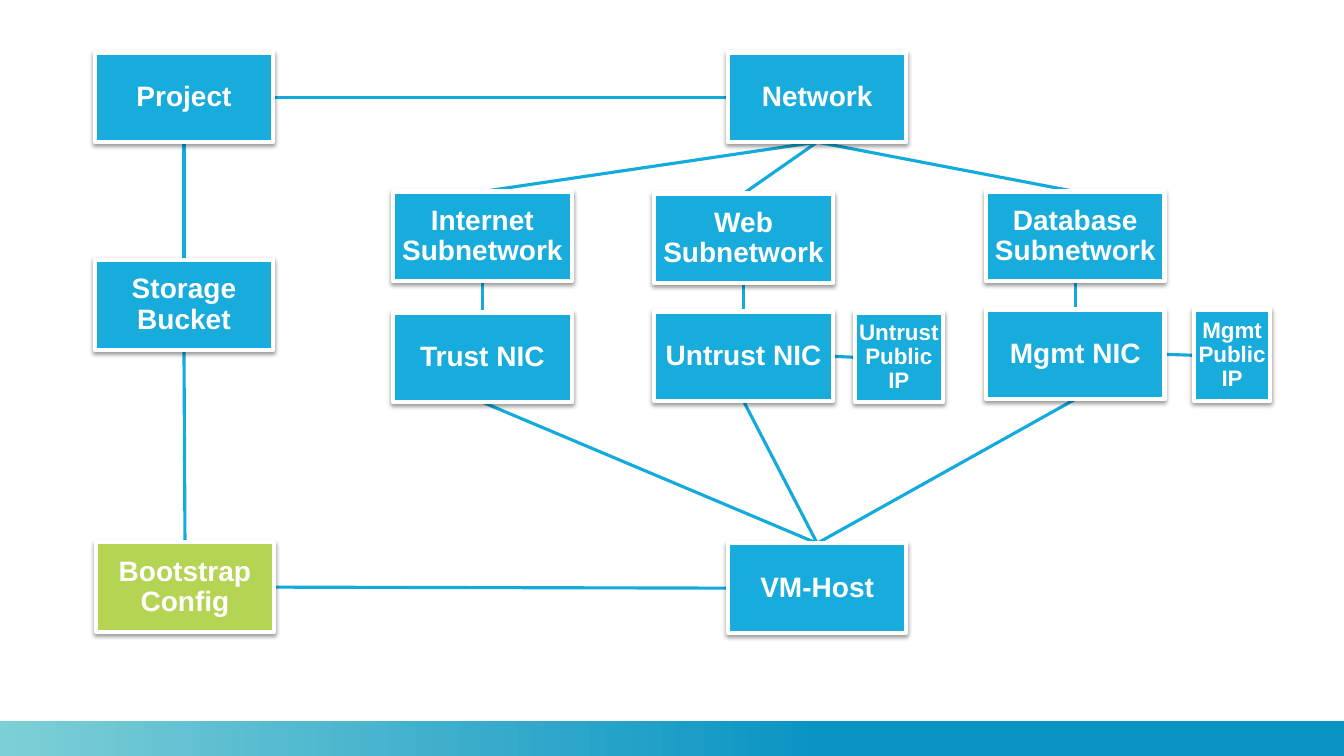
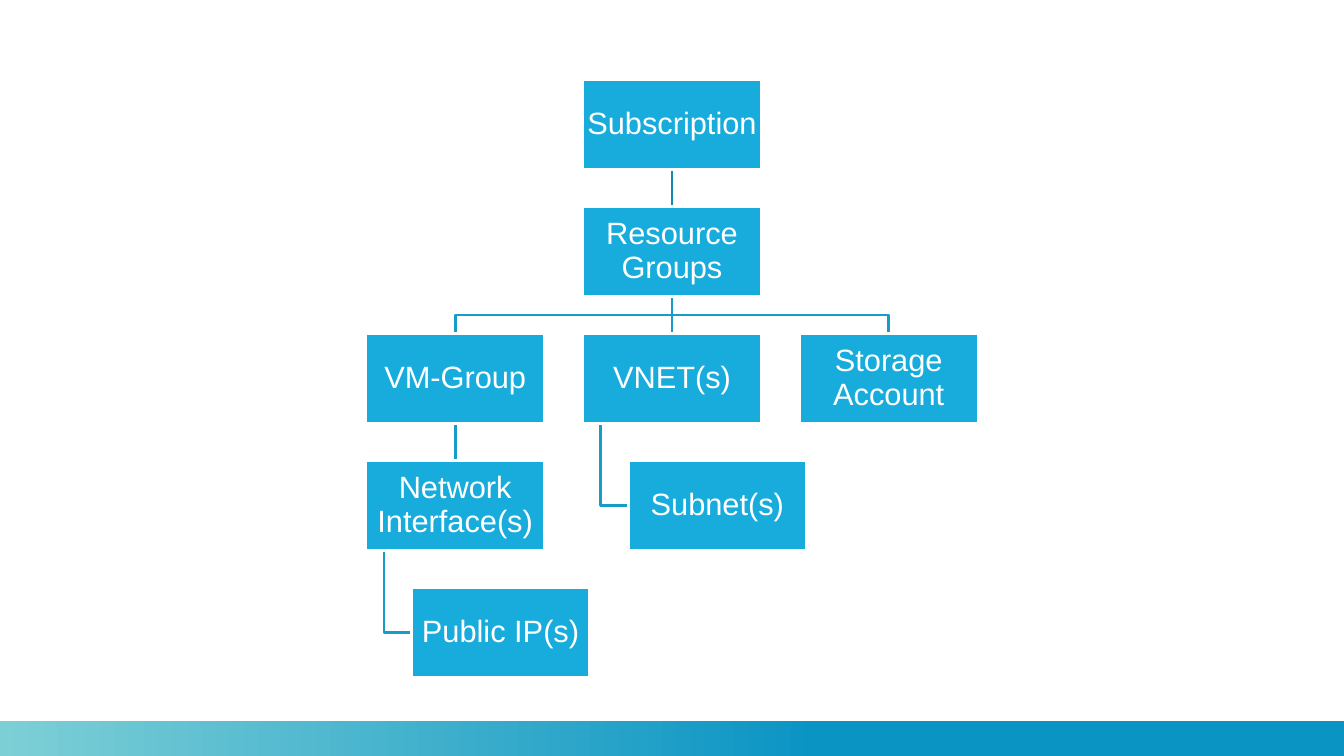
"""Builds two resource hierarchy diagrams."""
import pptx
import pptx.dml.color
import pptx.enum.shapes
import pptx.enum.text
import pptx.oxml
import pptx.oxml.ns
import pptx.util
from pptx.util import Inches

COLORS = {
    "box": "17ACDC",
    "highlight": "B5D453",
    "white": "FFFFFF",
    "link": "12ABDC",
    "tree_link": "159CC8",
    "root_link": "128AB0",
    "band_dark": "0A94C4",
    "band_light": "7DCFD6",
}
FONT = "Arial"
BOX_WIDTH, BOX_HEIGHT = 1.77, 0.89
TOP, LEFT, BOTTOM, RIGHT = range(4)
SHADOW = (
    '<a:outerShdw %s blurRad="39400" dist="20300" dir="5400000" rotWithShape="0">'
    '<a:srgbClr val="000000"><a:alpha val="38000"/></a:srgbClr></a:outerShdw>'
    % pptx.oxml.ns.nsdecls("a")
)


def color(name):
    return pptx.dml.color.RGBColor.from_string(COLORS[name])


class Diagram:
    def __init__(self):
        self.presentation = pptx.Presentation()
        self.presentation.slide_width = Inches(13.33)
        self.presentation.slide_height = Inches(7.5)

    def start_slide(self, size, bold, border, shadow):
        self.size, self.bold = size, bold
        self.border, self.shadow = border, shadow
        self.first_box = None
        self.slide = self.presentation.slides.add_slide(self.presentation.slide_layouts[6])
        self.band()

    def rectangle(self, left, top, width, height):
        shape = self.slide.shapes.add_shape(
            pptx.enum.shapes.MSO_SHAPE.RECTANGLE,
            Inches(left), Inches(top), Inches(width), Inches(height))
        shape.shadow.inherit = False
        return shape

    def band(self):
        shape = self.rectangle(0, 7.15, 13.33, 0.35)
        shape.line.fill.background()
        shape.fill.gradient()
        shape.fill.gradient_angle = 180
        stops = shape.fill.gradient_stops
        for stop, position, name in zip(stops, (0.39, 1), ("band_dark", "band_light")):
            stop.position = position
            stop.color.rgb = color(name)

    def box(self, text, left, top, width=BOX_WIDTH, height=BOX_HEIGHT, fill="box", size=None):
        shape = self.rectangle(left, top, width, height)
        shape.fill.solid()
        shape.fill.fore_color.rgb = color(fill)
        self.stroke(shape, "white", self.border)
        if self.shadow:
            effects = shape.element.spPr.find(pptx.oxml.ns.qn("a:effectLst"))
            effects.append(pptx.oxml.parse_xml(SHADOW))
        frame = shape.text_frame
        frame.word_wrap = True
        frame.vertical_anchor = pptx.enum.text.MSO_ANCHOR.MIDDLE
        frame.margin_left = frame.margin_right = Inches(0.02)
        frame.margin_top = frame.margin_bottom = Inches(0.02)
        paragraph = frame.paragraphs[0]
        paragraph.alignment = pptx.enum.text.PP_ALIGN.CENTER
        paragraph.line_spacing = 0.9
        run = paragraph.add_run()
        run.text = text
        run.font.name = FONT
        run.font.size = pptx.util.Pt(size or self.size)
        run.font.bold = self.bold
        run.font.color.rgb = color("white")
        if self.first_box is None:
            self.first_box = shape
        return shape

    def stroke(self, shape, name, width):
        shape.line.color.rgb = color(name)
        shape.line.width = pptx.util.Pt(width)

    def send_behind_boxes(self, shape):
        self.first_box.element.addprevious(shape.element)

    def link(self, start, start_side, end, end_side, name="link", width=2.25):
        connector = self.slide.shapes.add_connector(
            pptx.enum.shapes.MSO_CONNECTOR.STRAIGHT, 0, 0, 0, 0)
        connector.begin_connect(start, start_side)
        connector.end_connect(end, end_side)
        self.stroke(connector, name, width)
        connector.element.spPr.append(pptx.oxml.parse_xml(
            "<a:effectLst %s/>" % pptx.oxml.ns.nsdecls("a")))
        self.send_behind_boxes(connector)

    def bent_line(self, points):
        builder = self.slide.shapes.build_freeform(*points[0])
        builder.add_line_segments(points[1:], close=False)
        shape = builder.convert_to_shape()
        shape.shadow.inherit = False
        shape.fill.background()
        self.stroke(shape, "tree_link", 2)
        self.send_behind_boxes(shape)

    def branch(self, parent, child):
        start = parent.left + parent.width // 2
        end = child.left + child.width // 2
        bottom = parent.top + parent.height
        middle = (bottom + child.top) // 2
        self.bent_line([(start, bottom), (start, middle), (end, middle), (end, child.top)])

    def hang(self, parent, child):
        x = parent.left + Inches(0.18)
        y = child.top + child.height // 2
        self.bent_line([(x, parent.top + parent.height), (x, y), (child.left, y)])


def build_project(diagram):
    diagram.start_slide(size=20, bold=True, border=3, shadow=True)
    project = diagram.box("Project", 0.94, 0.52)
    bucket = diagram.box("Storage Bucket", 0.94, 2.58)
    config = diagram.box("Bootstrap Config", 0.95, 5.38, fill="highlight")
    network = diagram.box("Network", 7.22, 0.52)
    machine = diagram.box("VM-Host", 7.22, 5.39)
    diagram.link(project, BOTTOM, bucket, TOP)
    diagram.link(bucket, BOTTOM, config, TOP)
    diagram.link(project, RIGHT, network, LEFT)
    diagram.link(config, RIGHT, machine, LEFT)

    columns = [
        ("Internet Subnetwork", "Trust NIC", 3.9, 1.9, 3.1, None),
        ("Web Subnetwork", "Untrust NIC", 6.49, 1.92, 3.09,
         ("Untrust Public IP", 8.48, 3.1, 0.87, 0.89)),
        ("Database Subnetwork", "Mgmt NIC", 9.78, 1.9, 3.07,
         ("Mgmt Public IP", 11.84, 3.07, 0.76, 0.91)),
    ]
    for subnetwork_text, card_text, left, subnetwork_top, card_top, address_box in columns:
        subnetwork = diagram.box(subnetwork_text, left, subnetwork_top)
        card = diagram.box(card_text, left, card_top)
        diagram.link(network, BOTTOM, subnetwork, TOP)
        diagram.link(subnetwork, BOTTOM, card, TOP)
        diagram.link(card, BOTTOM, machine, TOP)
        if address_box:
            address = diagram.box(*address_box, size=16)
            diagram.link(card, RIGHT, address, LEFT)


def build_subscription(diagram):
    diagram.start_slide(size=22, bold=False, border=2, shadow=False)

    def node(text, column, row, indent=0):
        return diagram.box(text, 3.63 + 2.15 * column + indent, 0.79 + 1.26 * row)

    subscription = node("Subscription", 1, 0)
    groups = node("Resource Groups", 1, 1)
    machines = node("VM-Group", 0, 2)
    networks = node("VNET(s)", 1, 2)
    storage = node("Storage Account", 2, 2)
    interfaces = node("Network Interface(s)", 0, 3)
    subnets = node("Subnet(s)", 1, 3, indent=0.45)
    addresses = node("Public IP(s)", 0, 4, indent=0.45)

    diagram.link(subscription, BOTTOM, groups, TOP, "root_link", 2)
    diagram.link(groups, BOTTOM, networks, TOP, "tree_link", 2)
    diagram.link(machines, BOTTOM, interfaces, TOP, "tree_link", 2)
    diagram.branch(groups, machines)
    diagram.branch(groups, storage)
    diagram.hang(networks, subnets)
    diagram.hang(interfaces, addresses)


def main():
    diagram = Diagram()
    build_project(diagram)
    build_subscription(diagram)
    diagram.presentation.save("out.pptx")


if __name__ == "__main__":
    main()
